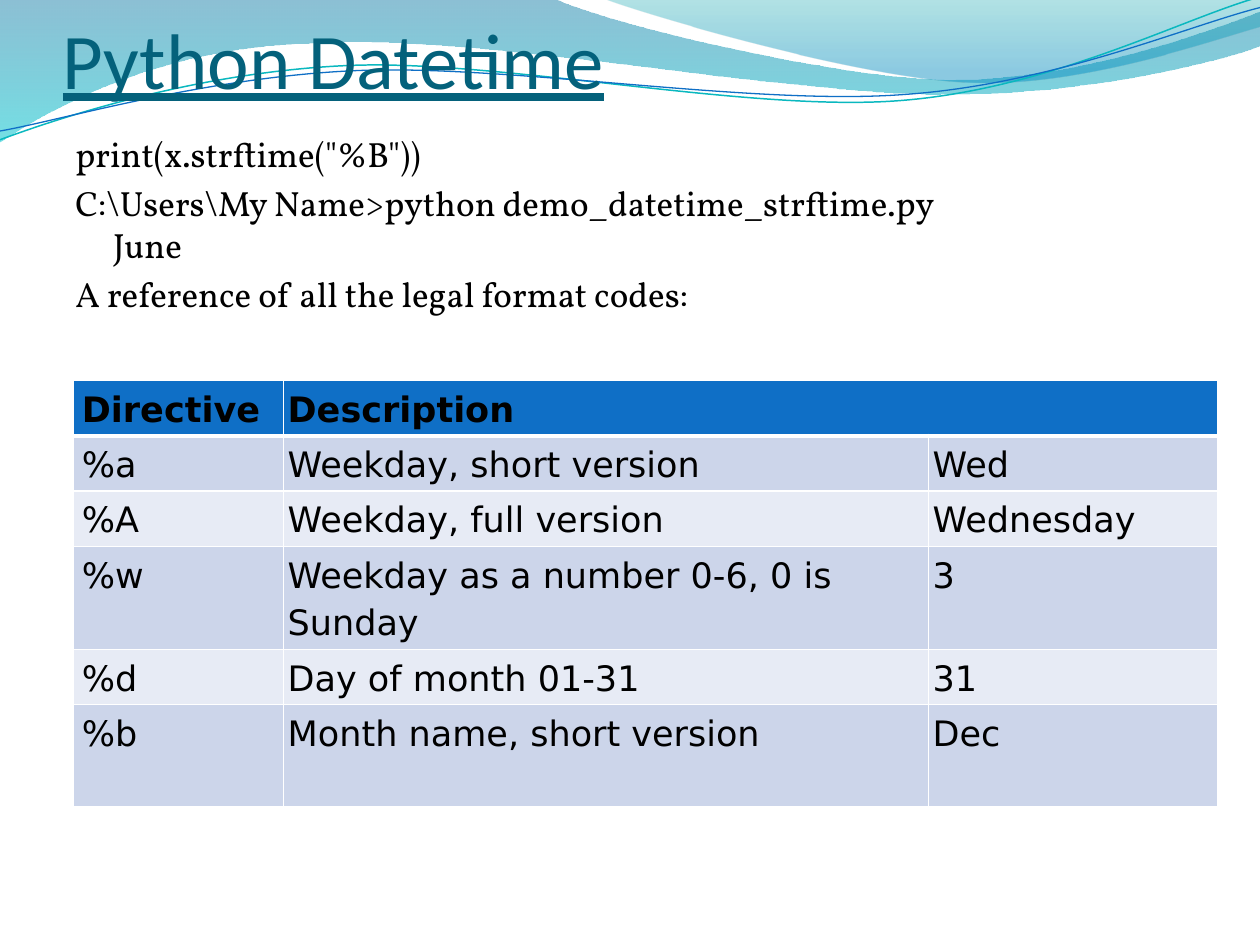
from pptx import Presentation
from pptx.dml.color import RGBColor
from pptx.enum.text import MSO_ANCHOR
from pptx.oxml.ns import qn
from pptx.util import Pt
from lxml.etree import SubElement

# Content
TITLE = "Python Datetime"
BODY = [
    ['print(x.strftime("%B"))'],
    [r"C:\Users\My Name>python demo_datetime_strftime.py", "June"],
    ["A reference of all the legal format codes:"],
]
ROWS = [
    ("Directive", "Description", ""),
    ("%a", "Weekday, short version", "Wed"),
    ("%A", "Weekday, full version", "Wednesday"),
    ("%w", "Weekday as a number 0-6, 0 is Sunday", "3"),
    ("%d", "Day of month 01-31", "31"),
    ("%b", "Month name, short version", "Dec"),
]
COLS = (120, 368.6, 165.4)
LOW, TALL = 31.6, 58.3
HEIGHTS = (LOW, LOW, LOW, TALL, LOW, TALL)

THEME = {
    "title": ("Calibri", 45, "04617B"),
    "body": ("Vollkorn", 20, "000000"),
    "table": ("DejaVu Sans", 20, "000000"),
    "head": "0F6FC6",
    "bands": ("E7EBF5", "CCD5EA"),
    "rule": "FFFFFF",
}

# Outlines: a pair is a straight step, six numbers are a Bezier curve
TILT = 357.3
WAVES = [
    {"path": [(0, 0), (316.8, -0.7), (342.7, 12.2, 478.1, 45.4, 545.8, 45.4),
              (614.2, 45.4, 689.8, 18.7, 720, 6.5), (720.7, 25.9),
              (707.8, 31.7, 626.4, 54.7, 537.1, 54),
              (447.8, 54, 275, 20.2, 185, 24.5),
              (92.9, 25.9, 33.1, 59.8, -0.7, 81.4), (0, 0)],
     "stops": [(0, "0074A1", 45), (1, "00C6CF", 55)]},
    {"path": [(344.9, -0.7), (366.5, 7.9, 491, 44.6, 553.7, 46.8),
              (616.3, 49.7, 691.9, 23, 720, 15.1), (720, 0), (344.9, -0.7)],
     "stops": [(0, "00A1A9", 30), (0.8, "008BBF", 45)]},
    {"path": [(-1.4, 62.9), (33.8, 51.7, 114.1, 29.4, 199.8, 29.9),
              (284.8, 30.3, 425.9, 67.3, 512.5, 64.8),
              (599.1, 62.4, 676.5, 25.7, 720.2, 15.6)],
     "line": ("0AB8BF", 0.85)},
    {"path": [(-1.1, 57.9), (32.9, 53.7, 118.3, 32.5, 204.1, 33),
              (290.6, 33.4, 428.9, 63.8, 515.5, 61.4),
              (601.4, 59.6, 678.4, 30.1, 721.4, 21.3)],
     "line": ("0F6FC6", 0.75)},
]


def rgb(code):
    return RGBColor.from_string(code)


def draw(slide, path, close):
    """Build an outline, then join each curve's three steps into one."""
    dots = [(Pt(part[i]), Pt(part[i + 1]))
            for part in path for i in range(0, len(part), 2)]
    pen = slide.shapes.build_freeform(*dots[0])
    pen.add_line_segments(dots[1:], close=close)
    shape = pen.convert_to_shape()
    trail = next(shape.element.iter(qn("a:path")))
    steps = iter(trail.findall(qn("a:lnTo")))
    for part in path[1:]:
        group = [next(steps) for _ in range(len(part) // 2)]
        if len(group) == 3:
            curve = SubElement(trail, qn("a:cubicBezTo"))
            group[0].addprevious(curve)
            for step in group:
                curve.append(step[0])
                trail.remove(step)
    return shape


def add_wave(slide, wave):
    shape = draw(slide, wave["path"], "stops" in wave)
    shape.shadow.inherit = False
    if "line" in wave:
        shape.fill.background()
        tint, width = wave["line"]
        shape.line.color.rgb = rgb(tint)
        shape.line.width = Pt(width)
        shape.rotation = TILT
        return
    shape.line.fill.background()
    shape.fill.gradient()
    shape.fill.gradient_angle = 270
    for stop, (place, tint, alpha) in zip(shape.fill.gradient_stops,
                                          wave["stops"]):
        stop.position = place
        stop.color.rgb = rgb(tint)
    tints = shape.element.spPr.find(qn("a:gradFill")).iter(qn("a:srgbClr"))
    for tint, stop in zip(tints, wave["stops"]):
        SubElement(tint, qn("a:alpha"), val=str(stop[2] * 1000))


def style(para, role):
    name, size, tint = THEME[role]
    para.font.name, para.font.size = name, Pt(size)
    para.font.color.rgb = rgb(tint)


def add_box(slide, *place):
    frame = slide.shapes.add_textbox(*map(Pt, place)).text_frame
    frame.word_wrap = True
    return frame


def add_edges(cell, base):
    props = cell._tc.get_or_add_tcPr()
    for side in "LRTB":
        width = base if side == "B" else 1
        line = SubElement(props, qn("a:ln" + side), w=str(Pt(width)))
        fill = SubElement(line, qn("a:solidFill"))
        SubElement(fill, qn("a:srgbClr"), val=THEME["rule"])


def add_codes(slide):
    table = slide.shapes.add_table(
        len(ROWS), len(COLS), Pt(42), Pt(217.5),
        Pt(sum(COLS)), Pt(sum(HEIGHTS))).table
    for col, width in zip(table.columns, COLS):
        col.width = Pt(width)
    for r, row in enumerate(ROWS):
        table.rows[r].height = Pt(HEIGHTS[r])
        for c, text in enumerate(row):
            cell = table.cell(r, c)
            add_edges(cell, 1 if r else 3)
            cell.fill.solid()
            cell.fill.fore_color.rgb = rgb(
                THEME["bands"][r % 2] if r else THEME["head"])
            cell.margin_left = Pt(2.4 if c else 4.8)
            cell.margin_right = cell.margin_top = cell.margin_bottom = Pt(1.8)
            para = cell.text_frame.paragraphs[0]
            para.text = text
            para.line_spacing = 1.15
            style(para, "table")
            para.font.bold = r == 0
    table.cell(0, 1).merge(table.cell(0, 2))


def main():
    deck = Presentation()
    deck.slide_width, deck.slide_height = Pt(720), Pt(540)
    slide = deck.slides.add_slide(deck.slide_layouts[6])

    # Wave band along the top
    for wave in WAVES:
        add_wave(slide, wave)

    # Title
    frame = add_box(slide, 36, 24, 648, 36)
    frame.vertical_anchor = MSO_ANCHOR.BOTTOM
    frame.margin_left = frame.margin_right = frame.margin_bottom = 0
    para = frame.paragraphs[0]
    para.text = TITLE
    style(para, "title")
    para.font.underline = True

    # Body with hanging indent
    frame = add_box(slide, 36, 72, 648, 450)
    for i, lines in enumerate(BODY):
        para = frame.add_paragraph() if i else frame.paragraphs[0]
        para.text = "\n".join(lines)
        props = para._p.get_or_add_pPr()
        props.set("marL", str(Pt(21.6)))
        props.set("indent", str(-Pt(21.6)))
        if i:
            para.space_before = Pt(4)
        style(para, "body")

    # Format code table
    add_codes(slide)
    deck.save("out.pptx")


if __name__ == "__main__":
    main()
